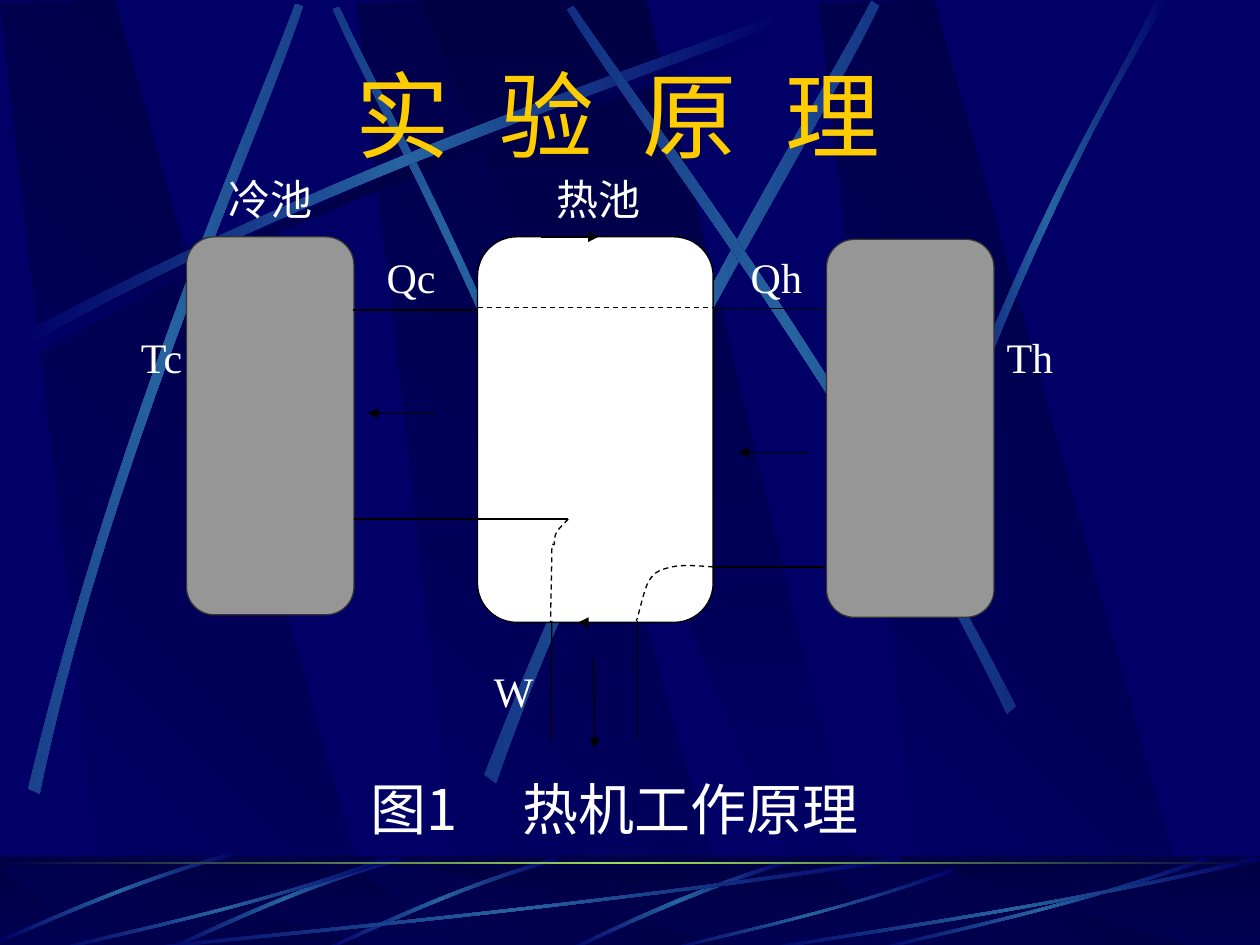
import math

import pptx
import pptx.dml.color
import pptx.enum.dml
import pptx.enum.shapes
import pptx.enum.text
import pptx.oxml.ns
import pptx.util
from lxml import etree

RGB = pptx.dml.color.RGBColor
NAVY = RGB(0x00, 0x00, 0x66)
DARK = RGB(0x00, 0x00, 0x44)
BLUE = RGB(0x26, 0x63, 0xA0)
LIME = RGB(0x9C, 0xE1, 0x57)
GOLD = RGB(0xFF, 0xCC, 0x00)
GRAY = RGB(0x96, 0x96, 0x96)
EDGE = RGB(0x33, 0x33, 0x33)
WHITE = RGB(0xFF, 0xFF, 0xFF)
BLACK = RGB(0x00, 0x00, 0x00)

HAN = "Noto Sans CJK SC"
ROMAN = "Times New Roman"
COLS, ROWS = 10, 7.5
CELL = pptx.util.Inches(1)  # one column or row of the slide grid
BEAM = (NAVY, BLUE, NAVY)
SHADE = (NAVY, DARK, NAVY)
QN = pptx.oxml.ns.qn
KIND = pptx.enum.shapes.MSO_SHAPE


def cells(*nums):
    return [int(n * CELL) for n in nums]


def add(node, tag, **attrs):
    child = etree.SubElement(node, QN("a:" + tag))
    for key, val in attrs.items():
        child.set(key, str(val))
    return child


# Paint
def blend(shape, hues, angle=0):
    """Linear gradient that keeps its direction on a turned shape."""
    shape.fill.gradient()
    grad = shape.element.spPr.find(QN("a:gradFill"))
    grad.clear()
    grad.set("rotWithShape", "0")
    stops = add(grad, "gsLst")
    for i, hue in enumerate(hues):
        stop = add(stops, "gs", pos=100000 * i // (len(hues) - 1))
        add(stop, "srgbClr", val=hue)
    add(grad, "lin", ang=angle * 60000, scaled=0)
    shape.line.fill.background()
    shape.shadow.inherit = False


def stroke(line, hue=BLACK, dash=False):
    line.color.rgb = hue
    line.width = pptx.util.Pt(0.75)
    if dash:
        line.dash_style = pptx.enum.dml.MSO_LINE.DASH


# Outlines: a pair is a corner, six numbers are a Bezier curve
def points(parts):
    return [part[i:i + 2] for part in parts for i in range(0, len(part), 2)]


def unturn(pts, deg):
    xs, ys = zip(*pts)
    mx, my = (min(xs) + max(xs)) / 2, (min(ys) + max(ys)) / 2
    cos, sin = math.cos(math.radians(deg)), math.sin(math.radians(deg))
    return [(mx + (x - mx) * cos + (y - my) * sin,
             my - (x - mx) * sin + (y - my) * cos) for x, y in pts]


def draw(slide, parts, pts, close=True):
    pts = [cells(*p) for p in pts]
    pen = slide.shapes.build_freeform(*pts[0], scale=1.0)
    pen.add_line_segments(pts[1:], close=close)
    shape = pen.convert_to_shape()
    shape.shadow.inherit = False
    # Join each three steps of a curve into one Bezier segment
    steps = iter(list(shape.element.spPr.iter(QN("a:lnTo"))))
    for part in parts[1:]:
        first = next(steps)
        if len(part) == 6:
            curve = etree.Element(QN("a:cubicBezTo"))
            first.addprevious(curve)
            for step in (first, next(steps), next(steps)):
                curve.append(step[0])
                step.getparent().remove(step)
    return shape


def beam(slide, parts, hues=BEAM, angle=0, shift=(0, 0), size=(1, 1), turn=0):
    pts = [(shift[0] + x * size[0], shift[1] + y * size[1])
           for x, y in points(parts)]
    shape = draw(slide, parts, unturn(pts, turn))
    shape.rotation = turn
    blend(shape, hues, angle)


def block(slide, kind, *box):
    shape = slide.shapes.add_shape(kind, *cells(*box))
    shape.shadow.inherit = False
    return shape


def panels(slide, top, tall):
    """Three slanted panels and a wedge, scaled to the given height."""
    panel = [(0.86, 0.995), (3.02, 1), (0.91, 0), (0, 0.003)]
    for left in (2.83, 0, 6.5):
        beam(slide, panel, (NAVY, DARK), 315, (left, top), (1, tall))
    wedge = [(3.33, 0), (6.58, 1), (6.94, 1), (5.13, 0)]
    beam(slide, wedge, (DARK, NAVY), 90, (0, top), (1, tall))


def scene(slide):
    panels(slide, 0, 7.52)

    # Long beams and one shade
    long = [(0.14, 2.67), (2.78, 1.25, 5.18, 0.51, 6.2, 0.1),
            (6.23, 0.16), (5.22, 0.61, 2.48, 1.43, 0.17, 2.77)]
    beam(slide, long, SHADE, shift=(0.06, 0.08))
    beam(slide, [(4.6, 4.36), (3.91, 2.34, 3.02, 0.77, 2.69, 0.05),
                 (2.64, 0.07), (2.95, 0.79, 3.98, 2.58, 4.54, 4.39)], turn=45)
    beam(slide, long)
    beam(slide, [(0.23, 6.25), (0.93, 3.34, 1.97, 1.05, 2.35, 0.02),
                 (2.41, 0.04), (2.07, 1.08, 0.86, 3.68, 0.32, 6.29)],
         turn=311.7)
    beam(slide, [(3.85, 6.14), (4.98, 3.2, 6.38, 1.02, 6.92, 0),
                 (6.98, 0.04), (6.49, 1.08, 4.86, 3.55, 3.94, 6.21)],
         turn=321.6)
    beam(slide, [(8.06, 5.6), (6.7, 2.93, 5.16, 0.95, 4.55, 0.04),
                 (4.5, 0.07), (5.07, 1.01, 6.85, 3.25, 7.99, 5.66)], turn=34.8)
    beam(slide, [(7.38, 3.93), (8.14, 1.73, 8.88, 0.66, 9.17, 0),
                 (9.27, 0), (8.36, 1.45, 7.69, 3.22, 7.44, 3.97)])

    # Floor
    blend(block(slide, KIND.RECTANGLE, 0, 6.8, COLS, 0.75), (DARK, NAVY), 90)
    panels(slide, 6.88, 0.66)
    veil = block(slide, KIND.RECTANGLE, 0, 6.79, COLS, 0.75)
    veil.fill.solid()
    veil.fill.fore_color.rgb = DARK
    add(veil.element.spPr.find(".//" + QN("a:srgbClr")), "alpha", val=50000)
    veil.line.fill.background()

    # Floor beams
    beam(slide, [(6.27, 6.82), (5.37, 7.09, 4.77, 7.42, 4.48, 7.54),
                 (4.53, 7.55), (4.9, 7.37, 5.71, 7, 6.28, 6.85)])
    short = [(1.86, 0), (0.99, 0.25, 0.31, 0.6, 0, 0.73),
             (0.01, 0.75), (0.32, 0.63, 1.09, 0.23, 1.88, 0.03)]
    for left, top, tall in ((2.56, 6.8, 1), (1.31, 6.8, 1), (0, 6.76, 0.95)):
        beam(slide, short, shift=(left, top), size=(1, tall))
    low = [(1, 0.04), (0.57, 0.57, 0.17, 0.85, 0.01, 1),
           (0, 0.98), (0.17, 0.81, 0.62, 0.51, 0.99, 0)]
    for left, top, wide in ((1, 6.8, 6.17), (0.42, 6.8, 2.67),
                            (5.27, 6.89, 2.31), (6.92, 6.8, 2.67),
                            (6, 6.8, 4)):
        beam(slide, low, shift=(left, top), size=(wide, 7.55 - top))
    blend(block(slide, KIND.RECTANGLE, 0, 6.84, COLS, 0.02),
          (DARK, LIME, DARK))


def settle(deck, slide):
    """Move the finished scene to the slide master."""
    master = deck.slide_master
    master.background.fill.solid()
    master.background.fill.fore_color.rgb = NAVY
    title = slide.shapes.title.element
    parts = [s.element for s in slide.shapes if s.element is not title]
    for i, part in enumerate(parts):
        part.find(".//" + QN("p:cNvPr")).set("id", str(100 + i))
        master.shapes.element.insert(2 + i, part)


# Diagram
def tank(slide, box, hue, edge):
    shape = block(slide, KIND.ROUNDED_RECTANGLE, *box)
    shape.fill.solid()
    shape.fill.fore_color.rgb = hue
    stroke(shape.line, edge)


def wire(slide, ends, arrow=False, dash=False):
    line = slide.shapes.add_connector(
        pptx.enum.shapes.MSO_CONNECTOR.STRAIGHT, *cells(*ends))
    stroke(line.line, dash=dash)
    if arrow:
        add(line.line._get_or_add_ln(), "tailEnd", type="triangle")
    add(line.element.spPr, "effectLst")


def bend(slide, parts):
    shape = draw(slide, parts, points(parts), close=False)
    shape.fill.background()
    stroke(shape.line, dash=True)


def engine(slide):
    tank(slide, (1.48, 1.88, 1.33, 3), GRAY, EDGE)
    tank(slide, (6.56, 1.9, 1.33, 3), GRAY, EDGE)
    tank(slide, (3.79, 1.88, 1.87, 3.06), WHITE, BLACK)
    for ends in ((5.23, 4.94, 4.59, 4.94), (4.29, 1.88, 4.75, 1.88),
                 (3.46, 3.28, 2.92, 3.28), (6.43, 3.59, 5.86, 3.59),
                 (4.71, 5.22, 4.72, 5.94)):
        wire(slide, ends, arrow=True)
    for ends in ((2.8, 2.46, 3.79, 2.46), (5.66, 2.45, 6.55, 2.45),
                 (2.81, 4.12, 3.78, 4.12), (5.66, 4.5, 6.55, 4.5),
                 (3.78, 4.12, 4.51, 4.12), (4.38, 4.93, 4.37, 5.88),
                 (5.06, 4.93, 5.06, 5.86)):
        wire(slide, ends)
    wire(slide, (3.79, 2.44, 5.66, 2.44), dash=True)
    bend(slide, [(4.51, 4.12), (4.48, 4.15, 4.44, 4.19, 4.42, 4.22),
                 (4.4, 4.25, 4.4, 4.29, 4.4, 4.32),
                 (4.39, 4.34, 4.38, 4.28, 4.38, 4.38),
                 (4.38, 4.49, 4.37, 4.85, 4.37, 4.94)])
    bend(slide, [(5.66, 4.5), (5.54, 4.49, 5.41, 4.48, 5.33, 4.5),
                 (5.25, 4.52, 5.2, 4.53, 5.15, 4.61),
                 (5.11, 4.68, 5.07, 4.88, 5.05, 4.93)])


# Text
def write(para, text, size, font, hue):
    run = para.add_run()
    run.text = text
    run.font.size = pptx.util.Pt(size)
    run.font.name = font
    run.font.color.rgb = hue
    add(run.font._element, "ea", typeface=font if font == ROMAN else HAN)


def label(slide, box, text, font=ROMAN, size=24, inset=0.1, tab=None):
    frame = slide.shapes.add_textbox(*cells(*box)).text_frame
    frame.word_wrap = True
    frame.margin_left = cells(inset)[0]
    para = frame.paragraphs[0]
    if tab:
        stops = add(para._p.get_or_add_pPr(), "tabLst")
        add(stops, "tab", pos=cells(tab)[0], algn="l")
    write(para, text, size, font, WHITE)


def head(slide):
    title = slide.shapes.title
    title.left, title.top, title.width, title.height = cells(1.49, 0.4, 6.83, 1)
    frame = title.text_frame
    frame.word_wrap = True
    frame.auto_size = pptx.enum.text.MSO_AUTO_SIZE.NONE
    frame.vertical_anchor = pptx.enum.text.MSO_ANCHOR.MIDDLE
    para = frame.paragraphs[0]
    para.alignment = pptx.enum.text.PP_ALIGN.CENTER
    for char in "实　验　原　理":
        write(para, char, 28 if char == "　" else 54, "Montserrat", GOLD)


def main():
    deck = pptx.Presentation()
    deck.slide_width, deck.slide_height = cells(COLS, ROWS)
    slide = deck.slides.add_slide(deck.slide_layouts[5])
    scene(slide)
    settle(deck, slide)
    head(slide)
    label(slide, (1.64, 1.33, 6.8, 0.5), "冷池\t热池", HAN, inset=0.17, tab=2.61)
    engine(slide)
    label(slide, (1.8, 6.1, 6.95, 0.64), "图1\t热机工作原理", HAN, 32, 1.14, 1.21)
    for left, top, wide, text in ((1.02, 2.58, 0.7, "Tc"), (2.97, 1.95, 0.78, "Qc"),
                                  (5.86, 1.95, 0.86, "Qh"), (7.89, 2.58, 0.63, "Th")):
        label(slide, (left, top, wide, 0.5), text)
    label(slide, (3.75, 5.23, 0.78, 0.5), "W", inset=0.17)
    deck.save("out.pptx")


if __name__ == "__main__":
    main()
